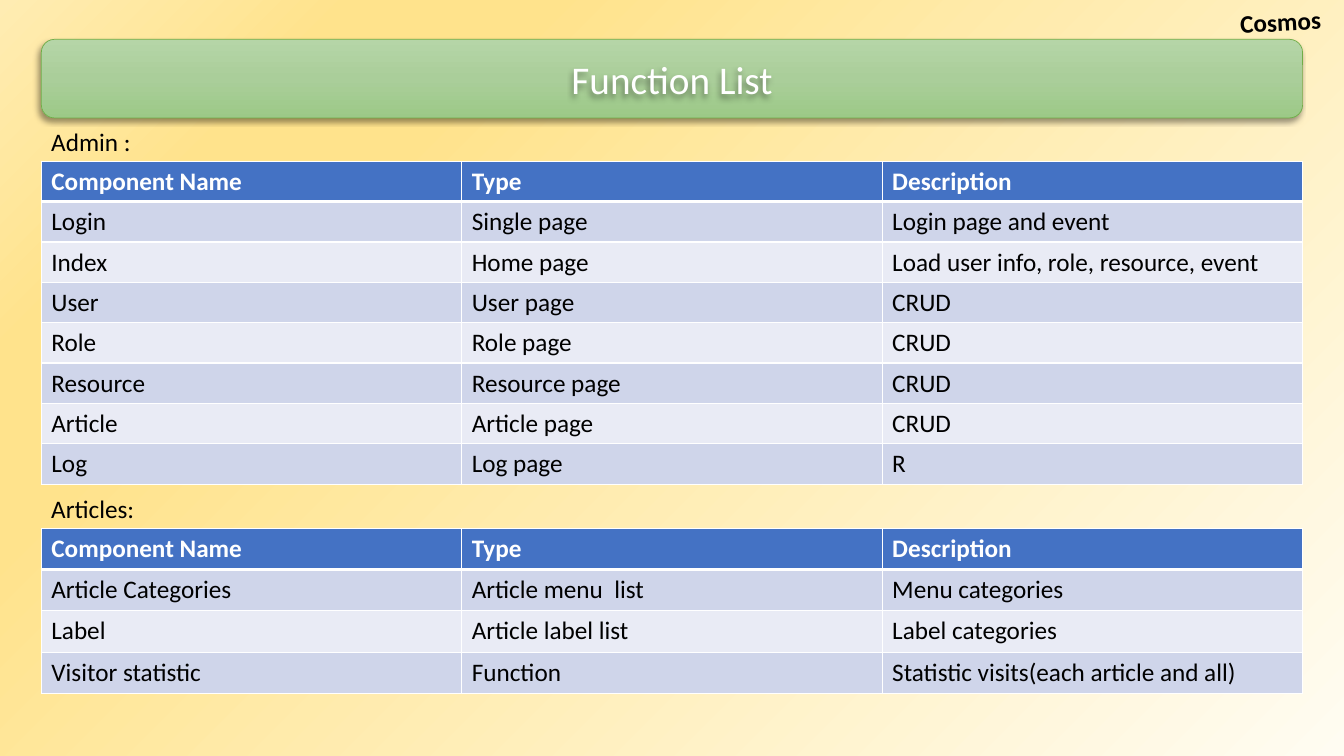
from dataclasses import dataclass

from lxml.etree import SubElement
from pptx import Presentation
from pptx.dml.color import RGBColor
from pptx.enum.shapes import MSO_SHAPE
from pptx.enum.text import MSO_ANCHOR, PP_ALIGN
from pptx.oxml.ns import qn
from pptx.util import Inches, Pt


@dataclass(frozen=True)
class Theme:
    font: str = "Calibri"
    title_size: int = 28
    body_size: int = 18
    white: str = "FFFFFF"
    black: str = "000000"
    header: str = "4472C4"
    bands: tuple = ("CFD5EA", "E9EBF5")
    bar_line: str = "70AD47"
    bar_stops: tuple = ((0, "B5D5A7"), (50, "AACE9A"), (100, "9CC987"))
    back_stops: tuple = ((0, "FFFCF2"), (74, "FFE38C"), (83, "FFE38C"), (100, "FFECB2"))


THEME = Theme()
WIDTH, HEIGHT = 13.33, 7.5
MARGIN = 0.41
CONTENT_WIDTH = WIDTH - 2 * MARGIN
LABEL_HEIGHT = 0.4

HEADINGS = ("Component Name", "Type", "Description")
ADMIN = (
    ("Login", "Single page", "Login page and event"),
    ("Index", "Home page", "Load user info, role, resource, event"),
    ("User", "User page", "CRUD"),
    ("Role", "Role page", "CRUD"),
    ("Resource", "Resource page", "CRUD"),
    ("Article", "Article page", "CRUD"),
    ("Log", "Log page", "R"),
)
ARTICLES = (
    ("Article Categories", "Article menu  list", "Menu categories"),
    ("Label", "Article label list", "Label categories"),
    ("Visitor statistic", "Function", "Statistic visits(each article and all)"),
)


def add_color(parent, color):
    return SubElement(parent, qn("a:srgbClr"), val=color)


def fill_gradient(fill, owner, stops, angle):
    """Fill with any number of stops; the angle runs counter-clockwise."""
    fill.gradient()
    fill.gradient_angle = angle
    stop_list = next(owner.iter(qn("a:gsLst")))
    for old_stop in list(stop_list):
        stop_list.remove(old_stop)
    for percent, color in stops:
        add_color(SubElement(stop_list, qn("a:gs"), pos=str(percent * 1000)), color)


def add_shadow(shape):
    shape.shadow.inherit = False
    effects = shape._element.spPr.find(qn("a:effectLst"))
    shadow = SubElement(effects, qn("a:outerShdw"), blurRad=str(Pt(4)), dist=str(Pt(3)),
                        dir=str(135 * 60000), algn="tr", rotWithShape="0")
    SubElement(add_color(shadow, THEME.black), qn("a:alpha"), val="40000")


def style_text(paragraph, color, size=THEME.body_size, bold=False):
    for run in paragraph.runs:
        run.font.name = THEME.font
        run.font.size = Pt(size)
        run.font.bold = bold
        run.font.color.rgb = RGBColor.from_string(color)


def add_text(slide, text, box, color=THEME.black, **style):
    label = slide.shapes.add_textbox(*map(Inches, box))
    label.text_frame.word_wrap = True
    label.text_frame.text = text
    style_text(label.text_frame.paragraphs[0], color, **style)
    return label


def add_title_bar(slide, title, box):
    bar = slide.shapes.add_shape(MSO_SHAPE.ROUNDED_RECTANGLE, *map(Inches, box))
    fill_gradient(bar.fill, bar._element, THEME.bar_stops, 270)
    bar.line.color.rgb = RGBColor.from_string(THEME.bar_line)
    bar.line.width = Pt(0.5)
    add_shadow(bar)
    heading = add_text(slide, title, box, THEME.white, size=THEME.title_size)
    heading.text_frame.vertical_anchor = MSO_ANCHOR.MIDDLE
    heading.text_frame.paragraphs[0].alignment = PP_ALIGN.CENTER
    add_shadow(heading)


def set_borders(cell, **widths):
    properties = cell._tc.get_or_add_tcPr()
    for side in ("lnL", "lnR", "lnT", "lnB"):
        line = SubElement(properties, qn(f"a:{side}"), w=str(Pt(widths.get(side, 1))))
        add_color(SubElement(line, qn("a:solidFill")), THEME.white)


def add_section(slide, label, components, box, row_height):
    """Label above a banded component table."""
    left, top, width = box
    add_text(slide, label, (left, top, width, LABEL_HEIGHT))
    rows = (HEADINGS, *components)
    table = slide.shapes.add_table(
        len(rows), len(HEADINGS), Inches(left), Inches(top + LABEL_HEIGHT),
        Inches(width), Inches(row_height * len(rows))).table
    for row_index, row in enumerate(rows):
        is_header = row_index == 0
        band = THEME.header if is_header else THEME.bands[(row_index - 1) % 2]
        for column_index, text in enumerate(row):
            cell = table.cell(row_index, column_index)
            cell.text_frame.text = text
            style_text(cell.text_frame.paragraphs[0],
                       THEME.white if is_header else THEME.black, bold=is_header)
            set_borders(cell, lnT=3 if row_index == 1 else 1, lnB=3 if is_header else 1)
            cell.fill.solid()
            cell.fill.fore_color.rgb = RGBColor.from_string(band)


def add_function_list(prs):
    slide = prs.slides.add_slide(prs.slide_layouts[6])
    fill_gradient(slide.background.fill, slide._element, THEME.back_stops, 135)
    add_title_bar(slide, "Function List", (MARGIN, 0.39, CONTENT_WIDTH, 0.78))
    add_section(slide, "Admin :", ADMIN, (MARGIN, 1.2, CONTENT_WIDTH), 0.4)
    add_section(slide, "Articles:", ARTICLES, (MARGIN, 4.84, CONTENT_WIDTH), 0.41)
    signature = add_text(slide, "Cosmos", (12.2, 0.01, 1.05, LABEL_HEIGHT), bold=True)
    signature.rotation = -3


def main():
    prs = Presentation()
    prs.slide_width, prs.slide_height = Inches(WIDTH), Inches(HEIGHT)
    add_function_list(prs)
    prs.save("out.pptx")


if __name__ == "__main__":
    main()
